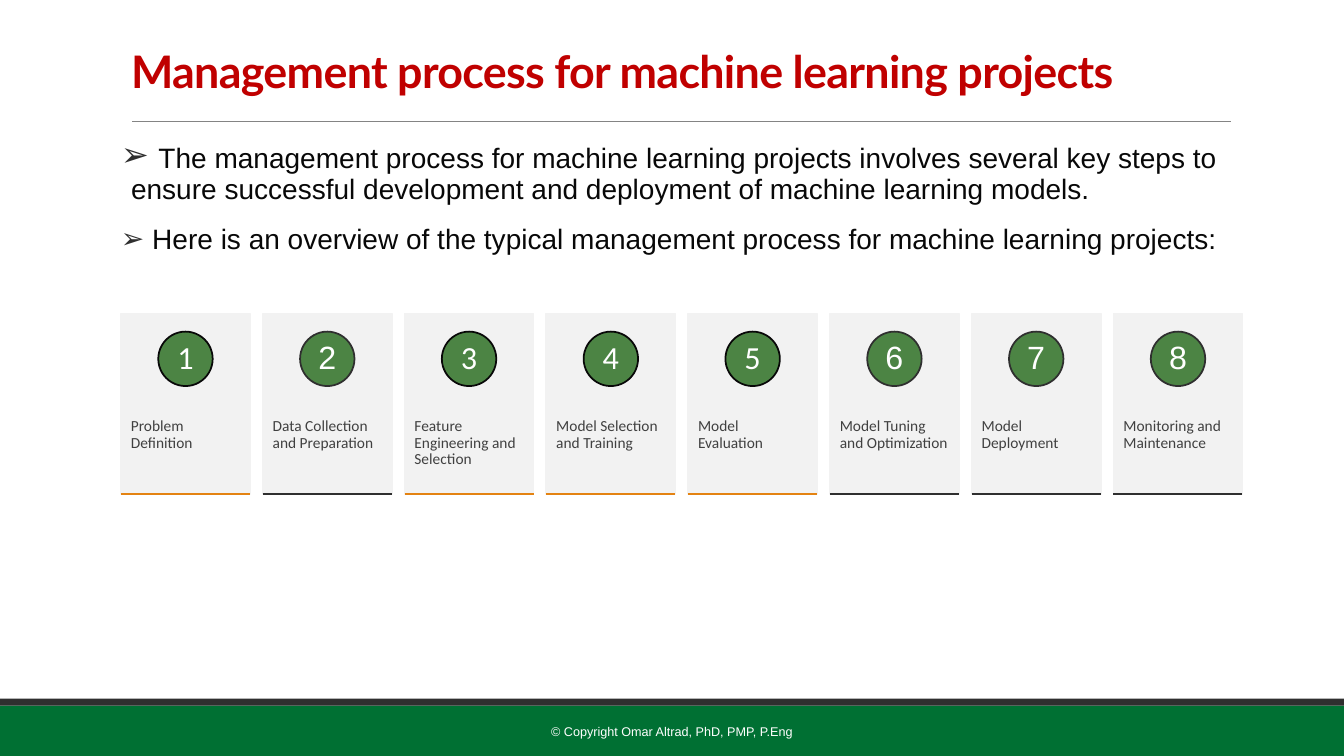
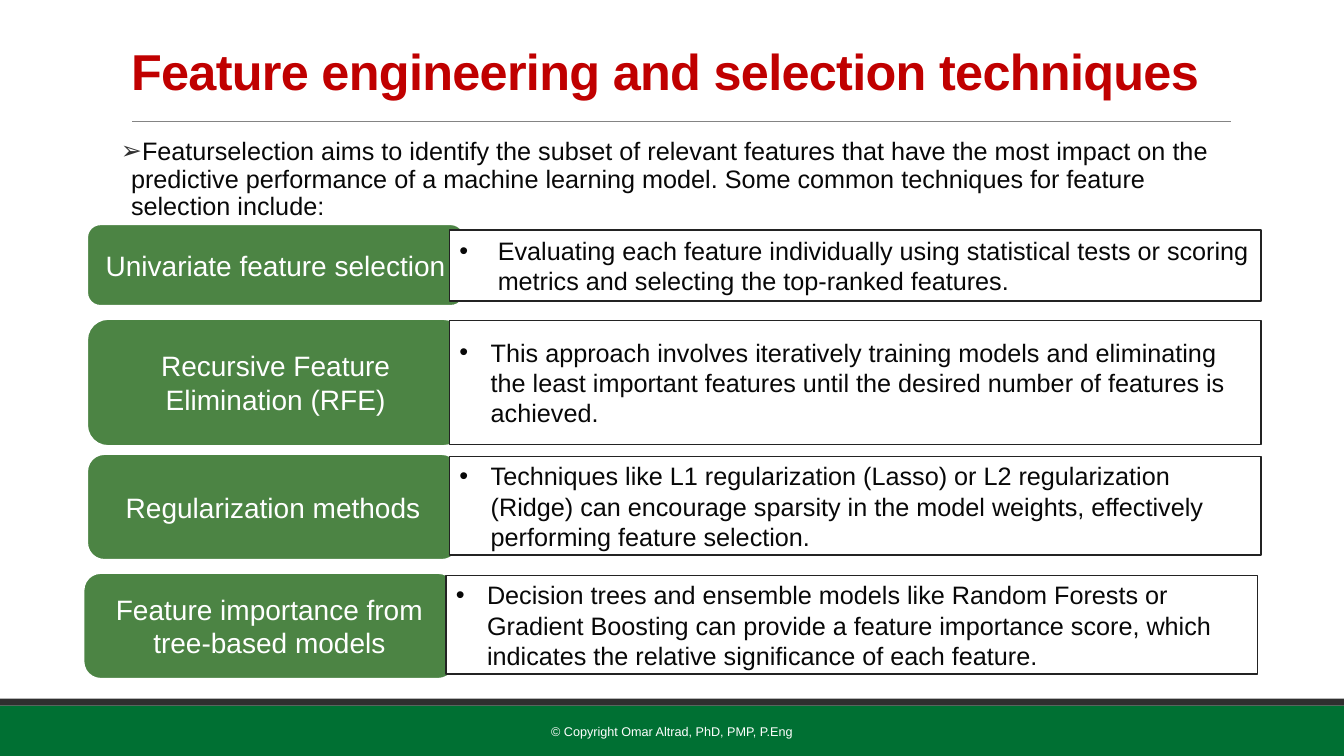
from lxml.etree import SubElement
from pptx import Presentation
from pptx.dml.color import RGBColor
from pptx.enum.shapes import MSO_CONNECTOR, MSO_SHAPE
from pptx.enum.text import MSO_ANCHOR, MSO_AUTO_SIZE, PP_ALIGN
from pptx.oxml.ns import qn
from pptx.util import Inches, Pt

COLORS = {
    "title": "C00000", "text": "080808", "dark": "2F2F2F", "band": "007033",
    "rule": "848484", "green": "4C8444", "card": "F2F2F2", "label": "404040",
    "accent": "E48312", "outline": "232323", "white": "FFFFFF",
}
FOOTER = "© Copyright Omar Altrad, PhD, PMP, P.Eng"
NO_INSETS = dict.fromkeys(
    ("margin_left", "margin_top", "margin_right", "margin_bottom"), 0)

# (label, colour of the base line)
STEPS = [
    ("Problem Definition", "accent"),
    ("Data Collection and Preparation", "dark"),
    ("Feature Engineering and Selection", "accent"),
    ("Model Selection and Training", "accent"),
    ("Model Evaluation", "accent"),
    ("Model Tuning and Optimization", "dark"),
    ("Model Deployment", "dark"),
    ("Monitoring and Maintenance", "dark"),
]

# (name, description, name top/width/height, description top/height, shift, indent)
TECHNIQUES = [
    ("Univariate feature selection",
     "Evaluating each feature individually using statistical tests or scoring "
     "metrics and selecting the top-ranked features.",
     (29.6, 28.13, 10.93), (30.4, 9.47), 0, 0.38),
    ("Recursive Feature Elimination (RFE)",
     "This approach involves iteratively training models and eliminating the "
     "least important features until the desired number of features is achieved.",
     (42.13, 28.13, 16.93), (42.4, 16.4), 0, 0.31),
    ("Regularization methods",
     "Techniques like L1 regularization (Lasso) or L2 regularization (Ridge) can "
     "encourage sparsity in the model weights, effectively performing feature "
     "selection.",
     (60, 27.75, 14.13), (60.4, 13.07), 0, 0.31),
    ("Feature importance from tree-based models",
     "Decision trees and ensemble models like Random Forests or Gradient Boosting "
     "can provide a feature importance score, which indicates the relative "
     "significance of each feature.",
     (75.73, 27.75, 14.13), (76.13, 13.07), -0.27, 0.31),
]


def rgb(name):
    return RGBColor.from_string(COLORS[name])


def set_all(obj, values):
    for name, value in values.items():
        setattr(obj, name, value)


def add_bullet(p, char, indent, color):
    pPr = p._p.get_or_add_pPr()
    pPr.set("marL", str(Inches(indent)))
    pPr.set("indent", str(-Inches(indent)))
    SubElement(SubElement(pPr, qn("a:buClr")), qn("a:srgbClr"), val=COLORS[color])
    SubElement(pPr, qn("a:buFont"), typeface="Arial")
    SubElement(pPr, qn("a:buChar"), char=char)


class Deck:
    """Shared style and current slide; lengths are percent of the slide's size."""

    def __init__(self):
        self.prs = Presentation()
        set_all(self.prs, {"slide_width": Inches(13.33), "slide_height": Inches(7.5)})
        self.s = None

    def x(self, share):
        return round(self.prs.slide_width * share / 100)

    def y(self, share):
        return round(self.prs.slide_height * share / 100)

    def box(self, left, top, width, height):
        return self.x(left), self.y(top), self.x(width), self.y(height)

    def place(self, sp, *box):
        set_all(sp, dict(zip(("left", "top", "width", "height"), self.box(*box))))

    def run(self, p, text, size, color="text", font="Arial", bold=False):
        r = p.add_run()
        r.text = text
        set_all(r.font, {"size": Pt(size), "name": font, "bold": bold})
        r.font.color.rgb = rgb(color)

    def label(self, sp, text, size, color="text", font="Arial", bold=False,
              align=PP_ALIGN.CENTER, anchor=MSO_ANCHOR.MIDDLE, spacing=1.0, **frame):
        """Put one formatted paragraph into a shape and return it."""
        tf = sp.text_frame
        set_all(tf, {"word_wrap": True, "vertical_anchor": anchor, **frame})
        p = tf.paragraphs[0]
        set_all(p, {"alignment": align, "line_spacing": spacing})
        self.run(p, text, size, color, font, bold)
        return p

    def shape(self, kind, box, fill, line=None, weight=1.25):
        sp = self.s.shapes.add_shape(kind, *self.box(*box))
        sp.shadow.inherit = False
        sp.fill.solid()
        sp.fill.fore_color.rgb = rgb(fill)
        if line:
            sp.line.color.rgb = rgb(line)
            sp.line.width = Pt(weight)
        else:
            sp.line.fill.background()
        return sp

    def hline(self, left, right, top, color, weight):
        line = self.s.shapes.add_connector(
            MSO_CONNECTOR.STRAIGHT, self.x(left), self.y(top), self.x(right), self.y(top))
        line.line.color.rgb = rgb(color)
        line.line.width = Pt(weight)
        SubElement(line._element.spPr, qn("a:effectLst"))

    def slide(self, title, size, font):
        self.s = self.prs.slides.add_slide(self.prs.slide_layouts[1])
        self.shape(MSO_SHAPE.RECTANGLE, (0, 93.33, 100, 6.67), "band")
        self.shape(MSO_SHAPE.RECTANGLE, (0, 92.4, 100, 0.93), "dark")
        self.hline(9.83, 91.6, 16, "rule", 0.5)
        footer = self.s.shapes.add_textbox(*self.box(30.23, 94.13, 39.53, 5.33))
        self.label(footer, FOOTER, 9, "white")
        sp = self.s.shapes.title
        self.place(sp, 9, 4.13, 82.5, 11.47)
        p = self.label(sp, title, size, "title", font, True, PP_ALIGN.LEFT,
                       spacing=0.85, auto_size=MSO_AUTO_SIZE.NONE)
        p.runs[0]._r.get_or_add_rPr().set("spc", "-50")

    def body(self, *items):
        """Fill the list; each item is a list of (text, size) runs."""
        sp = self.s.placeholders[1]
        self.place(sp, 9, 17.73, 82.5, 66.4)
        tf = sp.text_frame
        set_all(tf, {"margin_left": 0, "margin_right": 0, "word_wrap": True,
                     "auto_size": MSO_AUTO_SIZE.NONE})
        for i, runs in enumerate(items):
            p = tf.add_paragraph() if i else tf.paragraphs[0]
            set_all(p, {"line_spacing": 0.9, "space_before": Pt(12),
                        "space_after": Pt(2)})
            add_bullet(p, "➢", 0.1, "dark")
            for text, size in runs:
                self.run(p, text, size)

    def step_card(self, number, label, accent):
        width, height, dot = 9.6, 23.87, 4.05
        left, top = 9 + (number - 1) * 10.55, 41.47
        card = self.shape(MSO_SHAPE.RECTANGLE, (left, top, width, height), "card", "card")
        self.label(card, label, 11, "label", "Calibri", align=PP_ALIGN.LEFT,
                   anchor=MSO_ANCHOR.TOP, spacing=0.9, margin_top=Inches(1.04))
        rim, font = ("text", "Calibri") if accent == "accent" else ("dark", "Arial")
        circle = self.shape(MSO_SHAPE.OVAL,
                            (left + (width - dot) / 2, top + 2.4, dot, 7.2), "green", rim)
        self.label(circle, str(number), 23, "white", font, spacing=0.9, **NO_INSETS)
        self.hline(left, left + width, top + height, accent, 1.9)

    def technique(self, name, description, name_box, text_box, shift, indent):
        top, width, height = name_box
        sp = self.shape(MSO_SHAPE.ROUNDED_RECTANGLE, (6.45 + shift, top, width, height),
                        "green", "white", 2)
        self.label(sp, name, 20, "white")
        top, height = text_box
        sp = self.shape(MSO_SHAPE.RECTANGLE, (33.45 + shift, top, 60.38, height),
                        "white", "outline")
        p = self.label(sp, description, 18, align=PP_ALIGN.LEFT)
        add_bullet(p, "•", indent, "text")


def main():
    deck = Deck()

    deck.slide("Management process for machine learning projects", 32, "Lato")
    deck.body(
        [(" ", 24),
         ("The management process for machine learning projects involves several key "
          "steps to ensure successful development and deployment of machine learning "
          "models.", 20)],
        [(" Here is an overview of the typical management process for machine "
          "learning projects:", 20)])
    for number, (label, accent) in enumerate(STEPS, 1):
        deck.step_card(number, label, accent)

    deck.slide("Feature engineering and selection techniques", 36, "Arial")
    deck.body(
        [("Featurselection aims to identify the subset of relevant features that have "
          "the most impact on the predictive performance of a machine learning model. "
          "Some common techniques for feature selection include:", 18)])
    for technique in TECHNIQUES:
        deck.technique(*technique)

    deck.prs.save("out.pptx")


if __name__ == "__main__":
    main()
